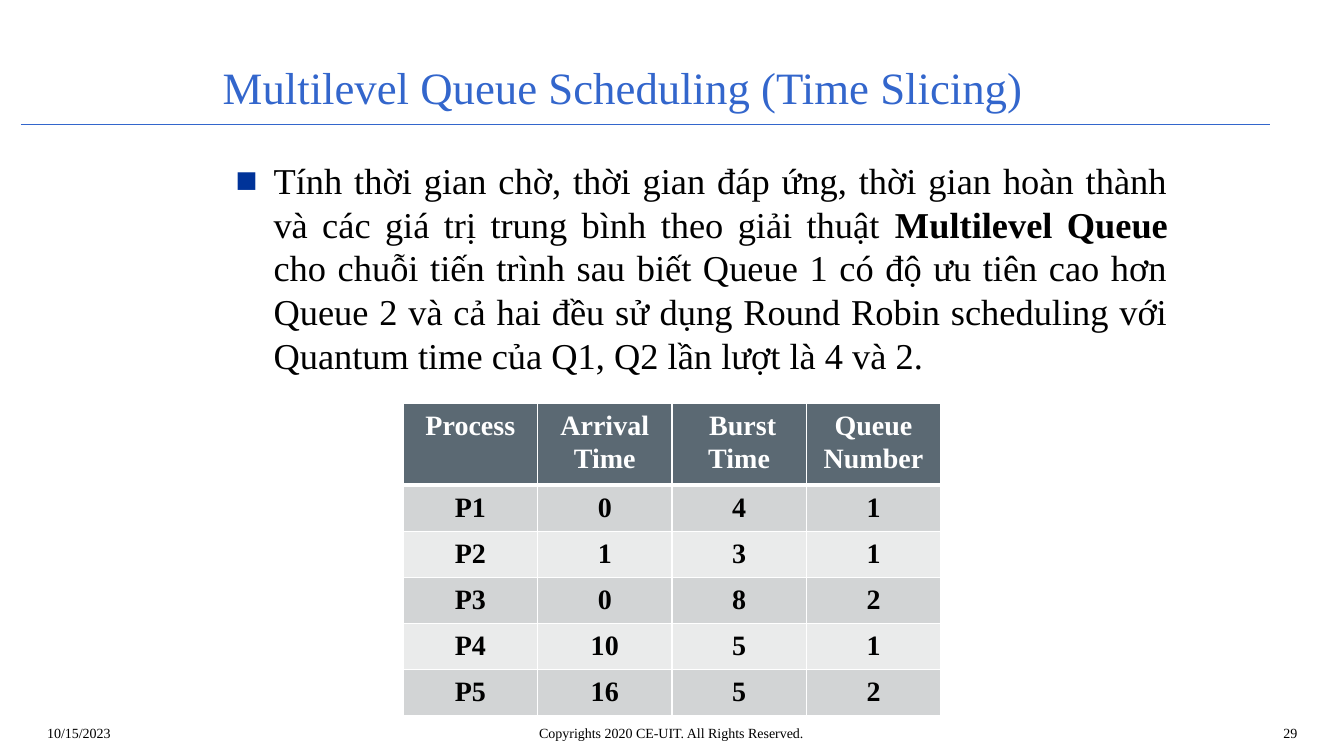
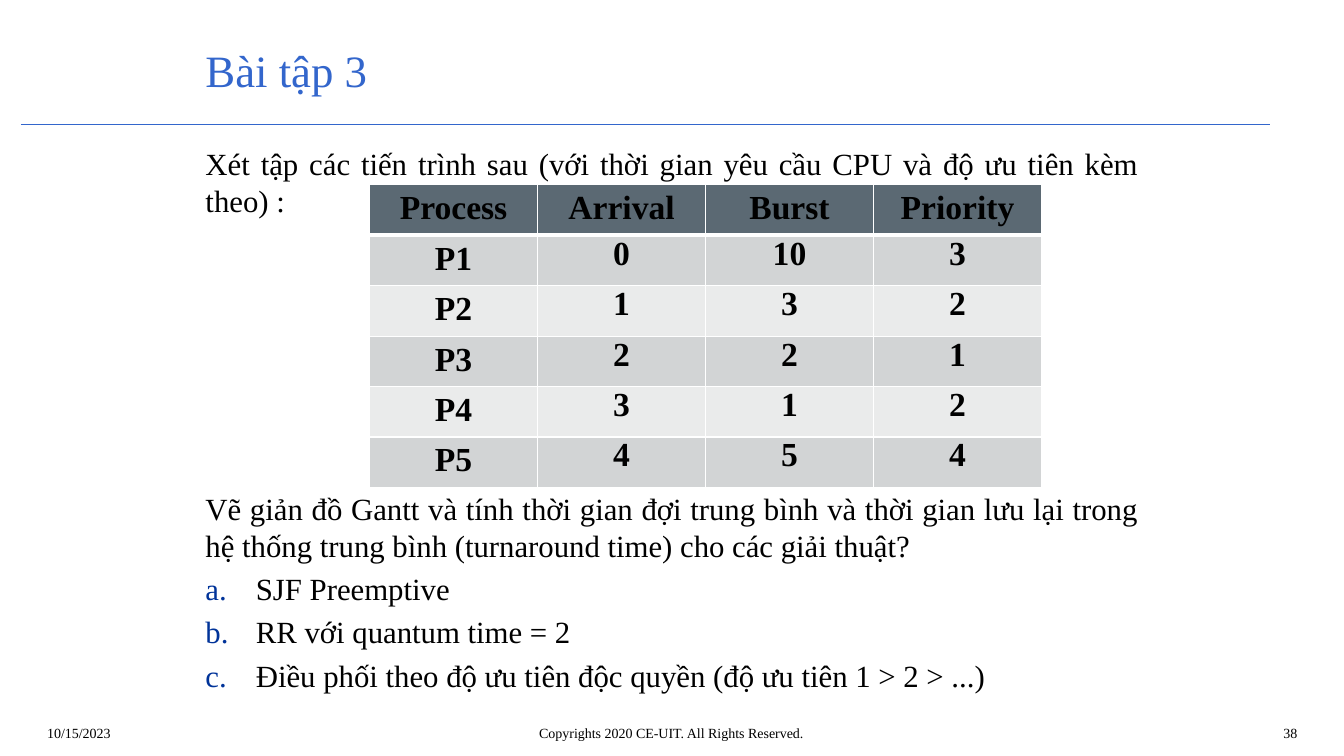
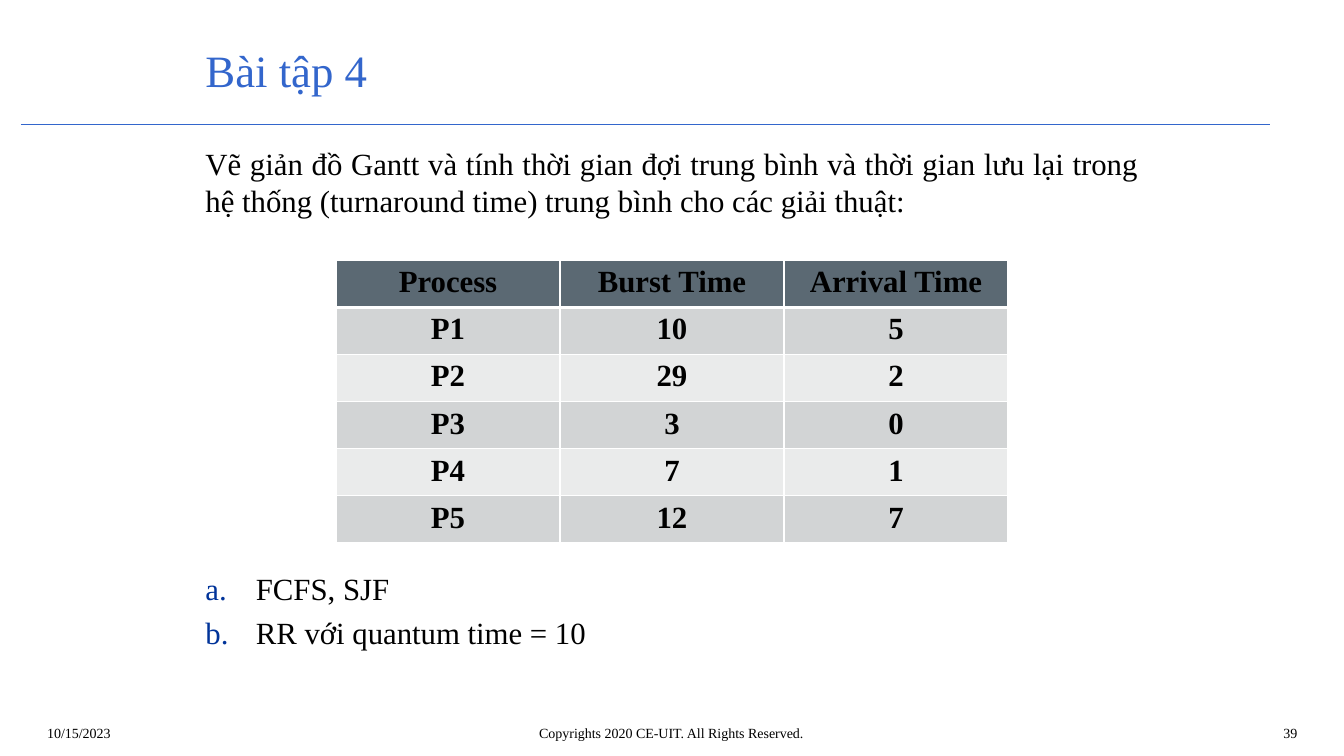
import pptx
import pptx.dml.color
import pptx.enum.shapes
import pptx.enum.text
import pptx.oxml.ns
import pptx.util
from lxml import etree

Pt = pptx.util.Pt
ALIGN = pptx.enum.text.PP_ALIGN
ANCHOR = pptx.enum.text.MSO_ANCHOR
qn = pptx.oxml.ns.qn

FONT = "Times New Roman"
COLORS = {
    "title": "3366CC",
    "text": "000000",
    "bullet": "003399",
    "white": "FFFFFF",
    "header": "5B6973",
    "band_dark": "D2D4D5",
    "band_light": "EAEBEB",
}
LINE_FACTOR = 1.2     # body line pitch / font size
GAP_FACTOR = 0.2      # space before a body paragraph / font size
BODY_LEFT, BODY_TOP, BODY_WIDTH = 139.7, 100, 680.4
LIST_TOP = 403.7
TITLE_BOX = (139.7, 22.3, 771.8, 54.7)


def rgb(name):
    return pptx.dml.color.RGBColor.from_string(COLORS[name])


def sub(parent, tag, **attrs):
    return etree.SubElement(parent, qn(tag), attrs)


def add_run(p, text, size, color="text", bold=False):
    r = p.add_run()
    r.text = text
    r.font.name = FONT
    r.font.size = Pt(size)
    r.font.bold = bold
    r.font.color.rgb = rgb(color)


def add_box(s, left, top, width, height, anchor=ANCHOR.TOP):
    tf = s.shapes.add_textbox(Pt(left), Pt(top), Pt(width), Pt(height)).text_frame
    tf.word_wrap = True
    tf.vertical_anchor = anchor
    return tf


def add_label(s, box, text, size, color="text", align=ALIGN.LEFT, anchor=ANCHOR.TOP):
    p = add_box(s, *box, anchor).paragraphs[0]
    p.alignment = align
    add_run(p, text, size, color)


def set_bullet(p, indent, tag, **attrs):
    pPr = p._p.get_or_add_pPr()
    pPr.set("marL", str(Pt(indent)))
    pPr.set("indent", str(-Pt(indent)))
    sub(sub(pPr, "a:buClr"), "a:srgbClr", val=COLORS["bullet"])
    if tag == "a:buChar":
        sub(pPr, "a:buFont", typeface=FONT)
    sub(pPr, tag, **attrs)


def add_body(s, top, height, size, plain=(), lettered=(), left=BODY_LEFT):
    """Justified paragraphs, then a lettered list; a paragraph is a list of (text, bold)."""
    tf = add_box(s, left, top, BODY_WIDTH, height)
    items = list(plain) + [[(text, False)] for text in lettered]
    for i, runs in enumerate(items):
        p = tf.paragraphs[0] if i == 0 else tf.add_paragraph()
        p.alignment = ALIGN.JUSTIFY
        p.line_spacing = Pt(size * LINE_FACTOR)
        if i > 0:
            p.space_before = Pt(size * GAP_FACTOR)
        if i >= len(plain):
            set_bullet(p, 36, "a:buAutoNum", type="alphaLcPeriod")
        for text, bold in runs:
            add_run(p, text, size, bold=bold)
    return tf


def set_borders(cell, row):
    tcPr = cell._tc.get_or_add_tcPr()
    widths = {"L": 1, "R": 1, "T": 3 if row == 1 else 1, "B": 3 if row == 0 else 1}
    for side, width in widths.items():
        ln = sub(tcPr, "a:ln" + side, w=str(Pt(width)))
        sub(sub(ln, "a:solidFill"), "a:srgbClr", val=COLORS["white"])


def add_process_table(s, left, top, width, rows, size, row_height, header_height=None,
                      header_color="text", spacing=None, flush_values=False):
    header_height = header_height or row_height
    n_rows, n_cols = len(rows), len(rows[0])
    height = header_height + row_height * (n_rows - 1)
    table = s.shapes.add_table(n_rows, n_cols, Pt(left), Pt(top), Pt(width), Pt(height)).table
    for col in table.columns:
        col.width = Pt(width / n_cols)
    for i, values in enumerate(rows):
        table.rows[i].height = Pt(row_height if i else header_height)
        fill = "header" if i == 0 else "band_dark" if i % 2 else "band_light"
        for j, value in enumerate(values):
            cell = table.cell(i, j)
            set_borders(cell, i)
            cell.fill.solid()
            cell.fill.fore_color.rgb = rgb(fill)
            if flush_values and i and j:
                cell.margin_left = cell.margin_right = Pt(5)
                cell.margin_top = cell.margin_bottom = Pt(0)
            p = cell.text_frame.paragraphs[0]
            p.alignment = ALIGN.CENTER
            if spacing:
                p.line_spacing = spacing
            add_run(p, value, size, "text" if i else header_color, bold=True)


def add_slide(prs, title, number, title_box=TITLE_BOX):
    s = prs.slides.add_slide(prs.slide_layouts[6])
    # Rule under the title
    rule = s.shapes.add_connector(pptx.enum.shapes.MSO_CONNECTOR.STRAIGHT,
                                  Pt(15), Pt(88.6), Pt(907), Pt(88.6))
    rule.line.color.rgb = rgb("title")
    rule.line.width = Pt(0.75)
    sub(rule._element.spPr, "a:effectLst")
    # Title and footer
    add_label(s, title_box, title, 32, "title", anchor=ANCHOR.MIDDLE)
    footer = [
        (26.6, 224, "10/15/2023", ALIGN.LEFT),
        (258.5, 442, "Copyrights 2020 CE-UIT. All Rights Reserved.", ALIGN.CENTER),
        (749.5, 184.3, number, ALIGN.RIGHT),
    ]
    for left, width, text, align in footer:
        add_label(s, (left, 514.1, width, 23), text, 10, align=align)
    return s


def main():
    prs = pptx.Presentation()
    prs.slide_width, prs.slide_height = Pt(960), Pt(540)

    # Multilevel queue exercise
    s = add_slide(prs, "Multilevel Queue Scheduling (Time Slicing)", "29",
                  (152, 34.6, 771.8, 54.7))
    tf = add_body(s, 109.4, 170, 26, left=161.3, plain=[[
        ("Tính thời gian chờ, thời gian đáp ứng, thời gian hoàn thành và các giá trị "
         "trung bình theo giải thuật ", False),
        ("Multilevel Queue ", True),
        ("cho chuỗi tiến trình sau biết Queue 1 có độ ưu tiên cao hơn Queue 2 và cả hai "
         "đều sử dụng Round Robin scheduling với Quantum time của Q1, Q2 lần lượt là "
         "4 và 2.", False),
    ]])
    set_bullet(tf.paragraphs[0], 27, "a:buChar", char="■")
    add_process_table(s, 288, 288, 384, [
        ["Process", "Arrival Time", " Burst Time", "Queue Number"],
        ["P1", "0", "4", "1"],
        ["P2", "1", "3", "1"],
        ["P3", "0", "8", "2"],
        ["P4", "10", "5", "1"],
        ["P5", "16", "5", "2"],
    ], 20, 30.9, header_height=54.4, header_color="white", spacing=1.07)

    # Exercise 3
    s = add_slide(prs, "Bài tập 3", "38")
    add_body(s, BODY_TOP, 62, 22, plain=[[
        ("Xét tập các tiến trình sau (với thời gian yêu cầu CPU và độ ưu tiên kèm theo) :",
         False)]])
    add_body(s, 346.5, 150, 22, plain=[[
        ("Vẽ giản đồ Gantt và tính thời gian đợi trung bình và thời gian lưu lại trong "
         "hệ thống trung bình (turnaround time) cho các giải thuật?", False)]],
        lettered=["SJF Preemptive", "RR với quantum time = 2",
                  "Điều phối theo độ ưu tiên độc quyền (độ ưu tiên 1 > 2 > ...)"])
    add_process_table(s, 264, 132, 480, [
        ["Process", "Arrival", "Burst", "Priority"],
        ["P1", "0", "10", "3"],
        ["P2", "1", "3", "2"],
        ["P3", "2", "2", "1"],
        ["P4", "3", "1", "2"],
        ["P5", "4", "5", "4"],
    ], 24, 33.7, flush_values=True)

    # Exercise 4
    s = add_slide(prs, "Bài tập 4", "39")
    add_body(s, BODY_TOP, 62, 22, plain=[[
        ("Vẽ giản đồ Gantt và tính thời gian đợi trung bình và thời gian lưu lại trong "
         "hệ thống (turnaround time) trung bình cho các giải thuật:", False)]])
    add_body(s, LIST_TOP, 66, 22, lettered=["FCFS, SJF", "RR với quantum time = 10"])
    add_process_table(s, 240, 186, 480, [
        ["Process", "Burst Time", "Arrival Time"],
        ["P1", "10", "5"],
        ["P2", "29", "2"],
        ["P3", "3", "0"],
        ["P4", "7", "1"],
        ["P5", "12", "7"],
    ], 22, 31.5)

    prs.save("out.pptx")


if __name__ == "__main__":
    main()
